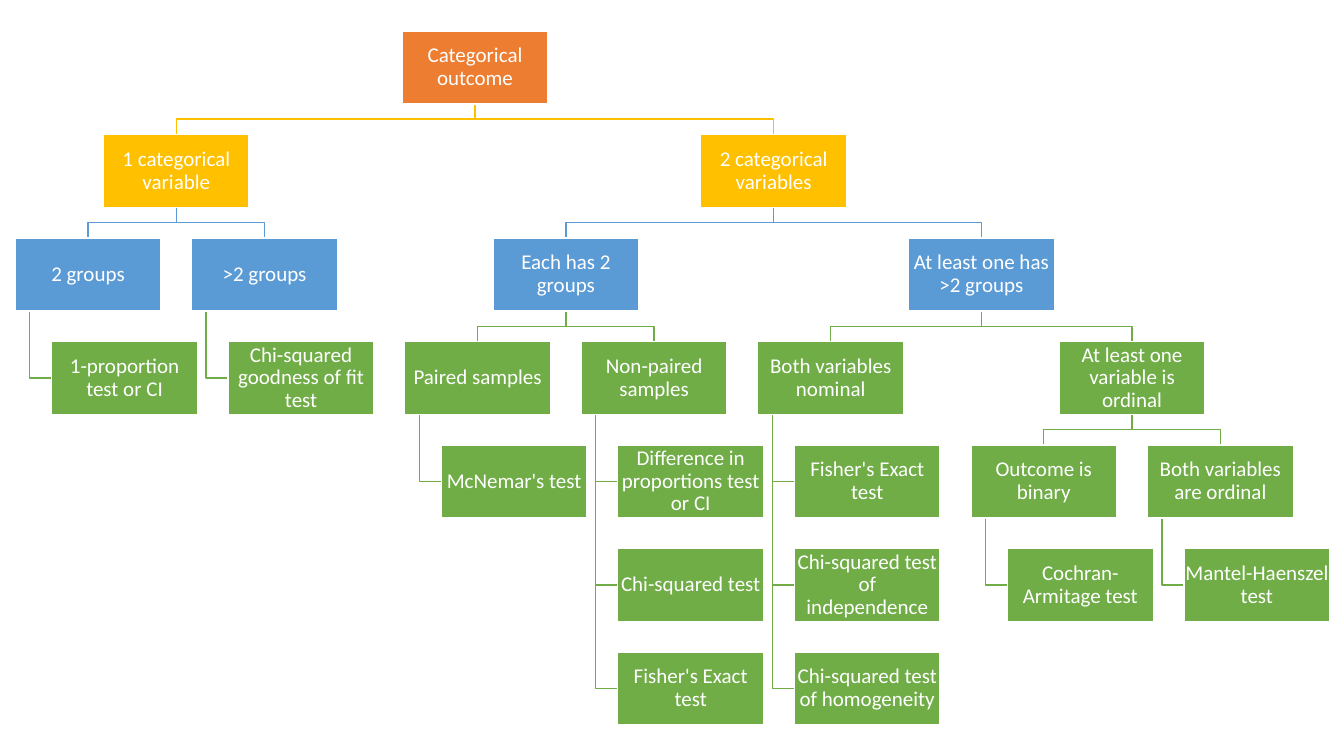
from pptx import Presentation
from pptx.dml.color import RGBColor
from pptx.enum.shapes import MSO_SHAPE as SHAPE
from pptx.enum.text import MSO_ANCHOR as ANCHOR, PP_ALIGN as ALIGN
from pptx.util import Pt

WHITE = RGBColor(0xFF, 0xFF, 0xFF)
ORANGE = RGBColor(0xED, 0x7D, 0x31)
GOLD = RGBColor(0xFF, 0xC0, 0x00)
BLUE = RGBColor(0x5B, 0x9B, 0xD5)
GREEN = RGBColor(0x70, 0xAD, 0x47)
LEVEL_COLORS = [ORANGE, GOLD, BLUE, GREEN, GREEN, GREEN, GREEN]

# Grid in points
BOX_W, BOX_H = 104.2, 52.1
LEFT, TOP = 10.8, 22.1
COL_STEP, ROW_STEP = 126.1, 73.95
INDENT = 26.1      # hanging boxes sit this far right of their parent
STEM = 10.4        # hanging line, from the parent's left edge

# Left edges of the seven columns; two of them open a wider gap
COLS = [LEFT + COL_STEP * i + INDENT * shift
        for i, shift in enumerate([0, 0, 1, 1, 1, 2, 2])]

# Decision tree: id, parent, row, column (None = centred over children), text
NODES = [
    ("root", None, 0, None, "Categorical outcome"),
    ("one", "root", 1, None, "1 categorical variable"),
    ("two", "root", 1, None, "2 categorical variables"),
    ("one_2", "one", 2, 0, "2 groups"),
    ("one_more", "one", 2, 1, ">2 groups"),
    ("each_2", "two", 2, None, "Each has 2 groups"),
    ("any_more", "two", 2, None, "At least one has >2 groups"),
    ("paired", "each_2", 3, 2, "Paired samples"),
    ("unpaired", "each_2", 3, 3, "Non-paired samples"),
    ("nominal", "any_more", 3, 4, "Both variables nominal"),
    ("ordinal", "any_more", 3, None, "At least one variable is ordinal"),
    ("binary", "ordinal", 4, 5, "Outcome is binary"),
    ("both_ordinal", "ordinal", 4, 6, "Both variables are ordinal"),
]

# Tests hanging below a box, one row each
TESTS = {
    "one_2": ["1-proportion test or CI"],
    "one_more": ["Chi-squared goodness of fit test"],
    "paired": ["McNemar's test"],
    "unpaired": ["Difference in proportions test or CI", "Chi-squared test",
                 "Fisher's Exact test"],
    "nominal": ["Fisher's Exact test", "Chi-squared test of independence",
                "Chi-squared test of homogeneity"],
    "binary": ["Cochran-Armitage test"],
    "both_ordinal": ["Mantel-Haenszel test"],
}

prs = Presentation()
prs.slide_width, prs.slide_height = Pt(960), Pt(540)
s = prs.slides.add_slide(prs.slide_layouts[6])


def add_line(points, color):
    pts = [(Pt(x), Pt(y)) for x, y in points]
    builder = s.shapes.build_freeform(*pts[0])
    builder.add_line_segments(pts[1:], close=False)
    sp = builder.convert_to_shape()
    sp.shadow.inherit = False
    sp.fill.background()
    sp.line.color.rgb = color
    sp.line.width = Pt(1)


def add_box(x, y, text, color):
    sp = s.shapes.add_shape(SHAPE.RECTANGLE, Pt(x), Pt(y), Pt(BOX_W), Pt(BOX_H))
    sp.shadow.inherit = False
    sp.fill.solid()
    sp.fill.fore_color.rgb = color
    sp.line.color.rgb = WHITE
    sp.line.width = Pt(1)
    tf = sp.text_frame
    frame = {"word_wrap": True, "vertical_anchor": ANCHOR.MIDDLE}
    frame.update({f"margin_{side}": Pt(0.75)
                  for side in ("left", "right", "top", "bottom")})
    for name, value in frame.items():
        setattr(tf, name, value)
    p = tf.paragraphs[0]
    p.alignment, p.line_spacing = ALIGN.CENTER, 0.9
    r = p.add_run()
    r.text = text
    for name, value in {"name": "Calibri", "size": Pt(15)}.items():
        setattr(r.font, name, value)
    r.font.color.rgb = WHITE


# Place boxes from the bottom up, parents midway over their children
pos = {}
for key, parent, row, col, text in reversed(NODES):
    if col is None:
        lefts = [pos[n[0]][0] for n in NODES if n[1] == key]
        x = (min(lefts) + max(lefts)) / 2
    else:
        x = COLS[col]
    pos[key] = (x, TOP + ROW_STEP * row)

# Branch lines
for key, parent, row, col, text in NODES:
    if parent:
        x, y = pos[key]
        px, py = pos[parent]
        start, end = px + BOX_W / 2, x + BOX_W / 2
        bottom = py + BOX_H
        mid = (bottom + y) / 2
        add_line([(start, bottom), (start, mid), (end, mid), (end, y)],
                 LEVEL_COLORS[row])

# Hanging lines
for key, tests in TESTS.items():
    x, y = pos[key]
    for i in range(len(tests), 0, -1):
        mid = y + ROW_STEP * i + BOX_H / 2
        add_line([(x + STEM, y + BOX_H), (x + STEM, mid), (x + INDENT, mid)], GREEN)

# Boxes, each followed by its hanging tests
for key, parent, row, col, text in NODES:
    x, y = pos[key]
    add_box(x, y, text, LEVEL_COLORS[row])
    for i, test in enumerate(TESTS.get(key, []), 1):
        add_box(x + INDENT, y + ROW_STEP * i, test, GREEN)

prs.save("out.pptx")
